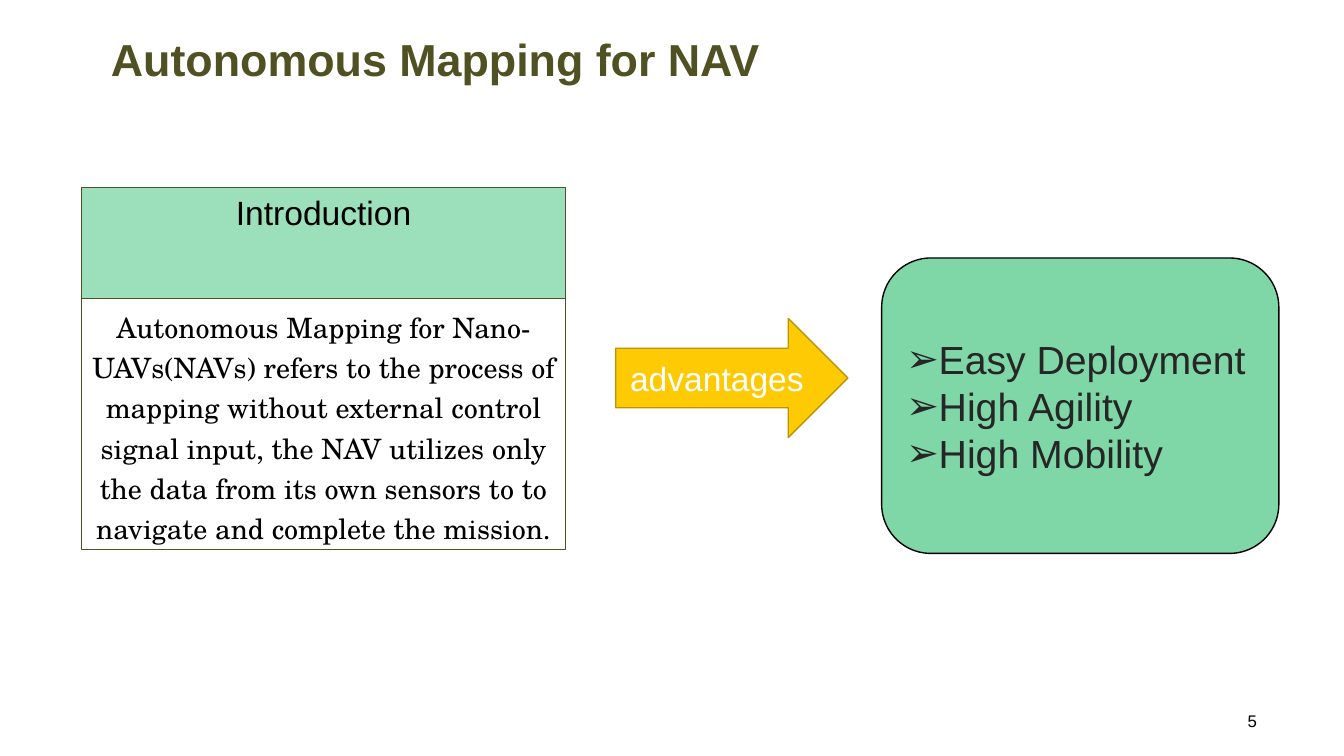
from dataclasses import dataclass, field

from lxml import etree
from pptx import Presentation
from pptx.dml.color import RGBColor
from pptx.enum.shapes import MSO_SHAPE
from pptx.enum.text import MSO_ANCHOR, PP_ALIGN
from pptx.oxml.ns import qn
from pptx.slide import Slide
from pptx.text.text import TextFrame
from pptx.util import Pt

RECT = MSO_SHAPE.RECTANGLE
ARROW = MSO_SHAPE.RIGHT_ARROW
ROUND_RECT = MSO_SHAPE.ROUNDED_RECTANGLE
TOP, MIDDLE = MSO_ANCHOR.TOP, MSO_ANCHOR.MIDDLE
LEFT, CENTER, RIGHT = PP_ALIGN.LEFT, PP_ALIGN.CENTER, PP_ALIGN.RIGHT

BLACK = RGBColor(0x00, 0x00, 0x00)
WHITE = RGBColor(0xFF, 0xFF, 0xFF)
OLIVE = RGBColor(0x50, 0x51, 0x22)
GREEN = RGBColor(0x00, 0xB0, 0x50)
YELLOW = RGBColor(0xFD, 0xCA, 0x04)
GOLD = RGBColor(0xBB, 0x95, 0x03)
CHARCOAL = RGBColor(0x26, 0x26, 0x26)

BULLET_INDENT = Pt(22.5)


@dataclass
class Text:
    lines: list[str]
    size: float
    color: RGBColor
    align: PP_ALIGN = CENTER
    anchor: MSO_ANCHOR = TOP
    font: str = "Arial"
    bold: bool = False
    spacing: float = 1.0
    bullet: str = ""


@dataclass
class Box:
    kind: MSO_SHAPE
    bounds: tuple[float, float, float, float]
    text: Text
    line: RGBColor
    line_width: float = 1
    fill: RGBColor | None = None
    opacity: int = 100


INTRO_LEFT, INTRO_WIDTH = 58.4, 345.6

BOXES = [
    Box(RECT, (INTRO_LEFT, 213.2, INTRO_WIDTH, 179.2),
        Text(["Autonomous Mapping for Nano-UAVs(NAVs) refers to the process of "
              "mapping without external control signal input, the NAV utilizes "
              "only the data from its own sensors to to navigate and complete "
              "the mission."], 20, BLACK, font="TeX Gyre Schola", spacing=1.2),
        OLIVE, 0.75),
    Box(RECT, (INTRO_LEFT, 133.8, INTRO_WIDTH, 79.6),
        Text(["Introduction"], 24, BLACK), OLIVE, 0.75, GREEN, 39),
    Box(ARROW, (439.8, 227.5, 165.8, 85),
        Text(["advantages"], 24, WHITE, anchor=MIDDLE), GOLD, 1, YELLOW),
    Box(ROUND_RECT, (629.8, 184.3, 283.7, 211),
        Text(["Easy Deployment", "High Agility", "High Mobility"], 28, CHARCOAL,
             LEFT, MIDDLE, bullet="➢"), BLACK, 1, GREEN, 50),
]


def write(tf: TextFrame, text: Text) -> None:
    tf.word_wrap = True
    tf.vertical_anchor = text.anchor
    for i, line in enumerate(text.lines):
        p = tf.paragraphs[0] if i == 0 else tf.add_paragraph()
        p.alignment = text.align
        p.line_spacing = text.spacing
        if text.bullet:
            pPr = p._p.get_or_add_pPr()
            pPr.set("marL", str(BULLET_INDENT))
            pPr.set("indent", str(-BULLET_INDENT))
            etree.SubElement(pPr, qn("a:buFont"), typeface="Arial")
            etree.SubElement(pPr, qn("a:buChar"), char=text.bullet)
        r = p.add_run()
        r.text = line
        formats = {"name": text.font, "size": Pt(text.size), "bold": text.bold}
        for name, value in formats.items():
            setattr(r.font, name, value)
        r.font.color.rgb = text.color


def draw_box(s: Slide, box: Box) -> None:
    sp = s.shapes.add_shape(box.kind, *map(Pt, box.bounds))
    sp.shadow.inherit = False
    sp.line.color.rgb = box.line
    sp.line.width = Pt(box.line_width)
    if box.fill is None:
        sp.fill.background()
    else:
        sp.fill.solid()
        sp.fill.fore_color.rgb = box.fill
        if box.opacity < 100:
            color = sp._element.spPr.find(qn("a:solidFill"))[0]
            etree.SubElement(color, qn("a:alpha"), val=str(box.opacity * 1000))
    write(sp.text_frame, box.text)


def main() -> None:
    prs = Presentation()
    prs.slide_width, prs.slide_height = Pt(960), Pt(540)
    s = prs.slides.add_slide(prs.slide_layouts[5])

    title = s.shapes.title
    bounds = {"left": 72, "top": 19.4, "width": 490, "height": 46}
    for name, value in bounds.items():
        setattr(title, name, Pt(value))
    write(title.text_frame,
          Text(["Autonomous Mapping for NAV"], 32, OLIVE, LEFT, bold=True))

    for box in BOXES:
        draw_box(s, box)

    number = s.shapes.add_textbox(Pt(689), Pt(500.4), Pt(216), Pt(28.8))
    write(number.text_frame, Text(["5"], 12, BLACK, RIGHT, MIDDLE))

    prs.save("out.pptx")


if __name__ == "__main__":
    main()
